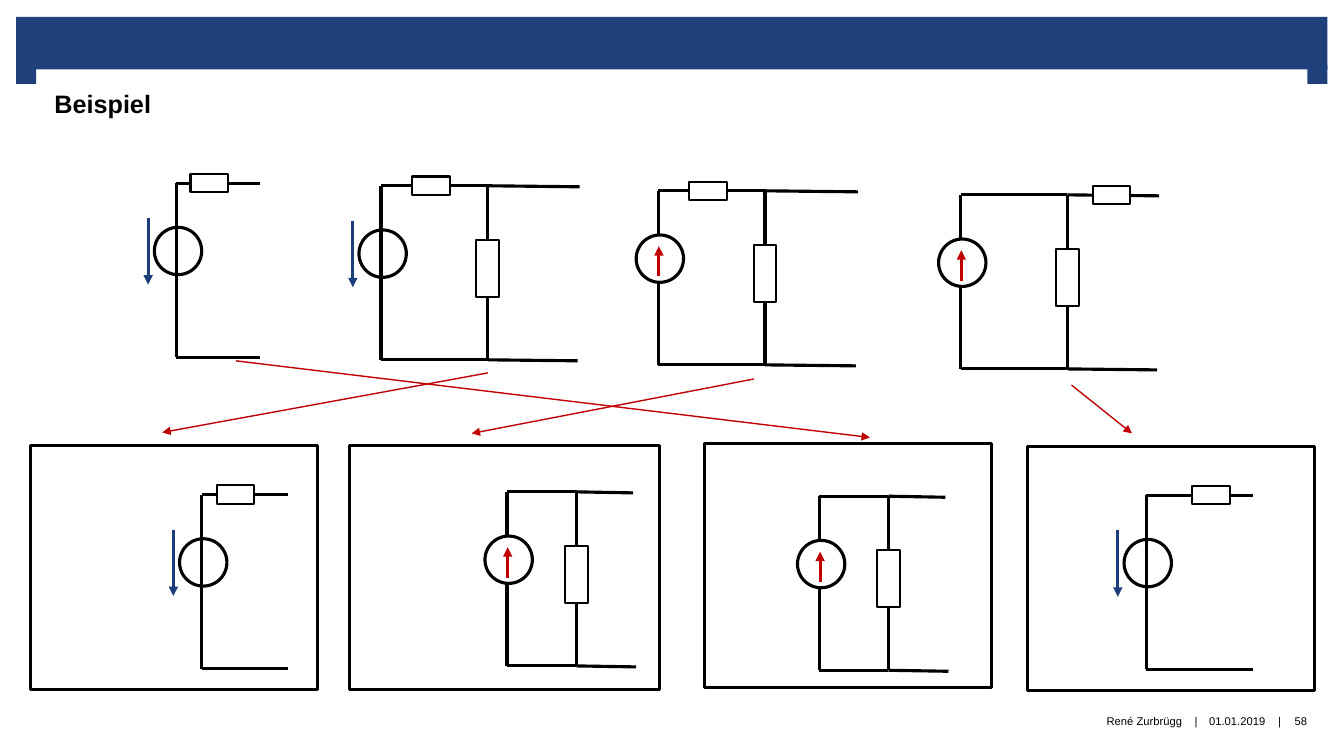
from lxml.etree import SubElement
from pptx import Presentation
from pptx.dml.color import RGBColor
from pptx.enum.shapes import MSO_CONNECTOR, MSO_SHAPE
from pptx.enum.text import MSO_ANCHOR, MSO_AUTO_SIZE, PP_ALIGN
from pptx.oxml.ns import qn
from pptx.util import Inches, Pt

# Square grid: 40 columns by 22.5 rows
UNIT = Inches(13.333) / 40
BLACK, WHITE, RED = "000000", "FFFFFF", "C00000"
BANNER_BLUE, VOLTAGE_BLUE = "1F407A", "1C3E7A"
WIRE = 2.25

LOOP_HEIGHT = 5.18
LEAD_SAG = 0.03
SOURCE_SIZE, SOURCE_DROP, SOURCE_SHIFT = 1.41, 2.02, 0.05
SERIES_SIZE = (1.12, 0.55)
SHUNT_SIZE, SHUNT_DROP = (0.68, 1.7), 2.46

# Left, top, source, top lead, bottom lead, series offset, shunt offset
CIRCUITS = [
    (5.25, 5.45, "voltage", 2.48, 2.48, 0.42, None),
    (11.34, 5.53, "voltage", 5.91, 5.85, 0.93, 3.18),
    (19.59, 5.68, "current", 5.94, 5.88, 0.93, 3.18),
    (28.59, 5.8, "current", 5.91, 5.85, 3.93, 3.18),
    (6, 14.72, "voltage", 2.57, 2.57, 0.45, None),
    (15.09, 14.64, "current", 3.75, 3.84, None, 2.07),
    (24.39, 14.77, "current", 3.75, 3.84, None, 2.05),
    (34.11, 14.74, "voltage", 3.18, 3.18, 1.38, None),
]
MATCHES = [
    (7.02, 10.74, 25.89, 13.02),
    (14.52, 11.1, 4.83, 12.87),
    (22.44, 11.28, 14.04, 12.9),
    (31.89, 11.46, 33.69, 12.9),
]
# Left, top, width of the answer frames
FRAMES = [(0.9, 13.26, 8.55), (10.41, 13.26, 9.21),
          (20.97, 13.2, 8.55), (30.57, 13.29, 8.55)]
FRAME_HEIGHT = 7.26
BANNER = [(0.48, 0.5, 39.03, 1.57), (0.48, 1.95, 0.6, 0.55),
          (38.91, 1.95, 0.6, 0.55)]
# Left, width, text, alignment
FOOTER = [
    (19.98, 15.21, "René Zurbrügg", PP_ALIGN.RIGHT),
    (35.37, 0.45, "|", PP_ALIGN.CENTER),
    (35.82, 2.01, "01.01.2019", PP_ALIGN.CENTER),
    (37.86, 0.45, "|", PP_ALIGN.CENTER),
    (38.13, 1.17, "58", PP_ALIGN.CENTER),
]


def color(hex_code):
    return RGBColor.from_string(hex_code)


def grid(*lengths):
    return [round(length * UNIT) for length in lengths]


def draw_shape(slide, kind, box, fill=None, line_width=None):
    shape = slide.shapes.add_shape(kind, *grid(*box))
    shape.shadow.inherit = False
    if fill:
        shape.fill.solid()
        shape.fill.fore_color.rgb = color(fill)
    else:
        shape.fill.background()
    if line_width:
        shape.line.color.rgb = color(BLACK)
        shape.line.width = Pt(line_width)
    else:
        shape.line.fill.background()


def draw_line(slide, ends, hex_code=BLACK, width=WIRE, arrow=False):
    line = slide.shapes.add_connector(MSO_CONNECTOR.STRAIGHT, *grid(*ends))
    line.line.color.rgb = color(hex_code)
    line.line.width = Pt(width)
    if arrow:
        SubElement(line.line._get_or_add_ln(), qn("a:tailEnd"), type="triangle")
    SubElement(line._element.spPr, qn("a:effectLst"))


def draw_resistor(slide, center_x, center_y, size):
    width, height = size
    box = (center_x - width / 2, center_y - height / 2, width, height)
    draw_shape(slide, MSO_SHAPE.RECTANGLE, box, WHITE, 1.5)


def draw_source(slide, kind, x, top):
    center = x + SOURCE_SHIFT
    radius = SOURCE_SIZE / 2
    circle = (center - radius, top + SOURCE_DROP - radius, SOURCE_SIZE, SOURCE_SIZE)
    if kind == "voltage":
        draw_shape(slide, MSO_SHAPE.OVAL, circle, None, WIRE)
        draw_line(slide, (x - 0.84, top + 1.04, x - 0.84, top + 3.02),
                  VOLTAGE_BLUE, arrow=True)
    else:
        draw_shape(slide, MSO_SHAPE.OVAL, circle, WHITE, WIRE)
        draw_line(slide, (x + 0.02, top + 2.55, x + 0.02, top + 1.65),
                  RED, arrow=True)


def draw_circuit(slide, x, top, source, top_lead, bottom_lead, series, shunt):
    bottom = top + LOOP_HEIGHT
    draw_line(slide, (x, bottom, x, top))
    for y, lead in ((top, top_lead), (bottom, bottom_lead)):
        bend = shunt or lead
        draw_line(slide, (x, y, x + bend, y))
        if shunt:
            draw_line(slide, (x + shunt, y, x + lead, y + LEAD_SAG))
    if shunt:
        draw_line(slide, (x + shunt, top, x + shunt, bottom))
        draw_resistor(slide, x + shunt, top + SHUNT_DROP, SHUNT_SIZE)
    if series:
        draw_resistor(slide, x + series + SERIES_SIZE[0] / 2, top, SERIES_SIZE)
    draw_source(slide, source, x, top)


def set_text(holder, text, size, align, anchor, bold=False):
    frame = holder.text_frame
    frame.text = text
    frame.word_wrap = False
    frame.auto_size = MSO_AUTO_SIZE.NONE
    frame.vertical_anchor = anchor
    paragraph = frame.paragraphs[0]
    paragraph.alignment = align
    font = paragraph.font
    font.name, font.size, font.bold = "Arial", Pt(size), bold
    font.color.rgb = color(BLACK)
    return frame


def draw_footer_item(slide, left, width, text, align):
    item = slide.shapes.add_textbox(*grid(left, 20.69, width, 1.52))
    frame = set_text(item, text, 8, align, MSO_ANCHOR.MIDDLE)
    frame.margin_left = frame.margin_right = 0
    frame.margin_top = frame.margin_bottom = 0


def main():
    deck = Presentation()
    deck.slide_width, deck.slide_height = grid(40, 22.5)
    slide = deck.slides.add_slide(deck.slide_layouts[5])

    # Banner and title
    for box in BANNER:
        draw_shape(slide, MSO_SHAPE.RECTANGLE, box, BANNER_BLUE)
    heading = slide.shapes.title
    heading.left, heading.top, heading.width, heading.height = grid(
        1.32, 2.49, 3.51, 1.2)
    set_text(heading, "Beispiel", 18, PP_ALIGN.LEFT, MSO_ANCHOR.TOP, bold=True)

    # Circuits and their equivalents
    for circuit in CIRCUITS:
        draw_circuit(slide, *circuit)
    for match in MATCHES:
        draw_line(slide, match, RED, 1, arrow=True)
    for left, top, width in FRAMES:
        draw_shape(slide, MSO_SHAPE.RECTANGLE, (left, top, width, FRAME_HEIGHT),
                   None, 2)

    # Footer
    for item in FOOTER:
        draw_footer_item(slide, *item)

    deck.save("out.pptx")


if __name__ == "__main__":
    main()
